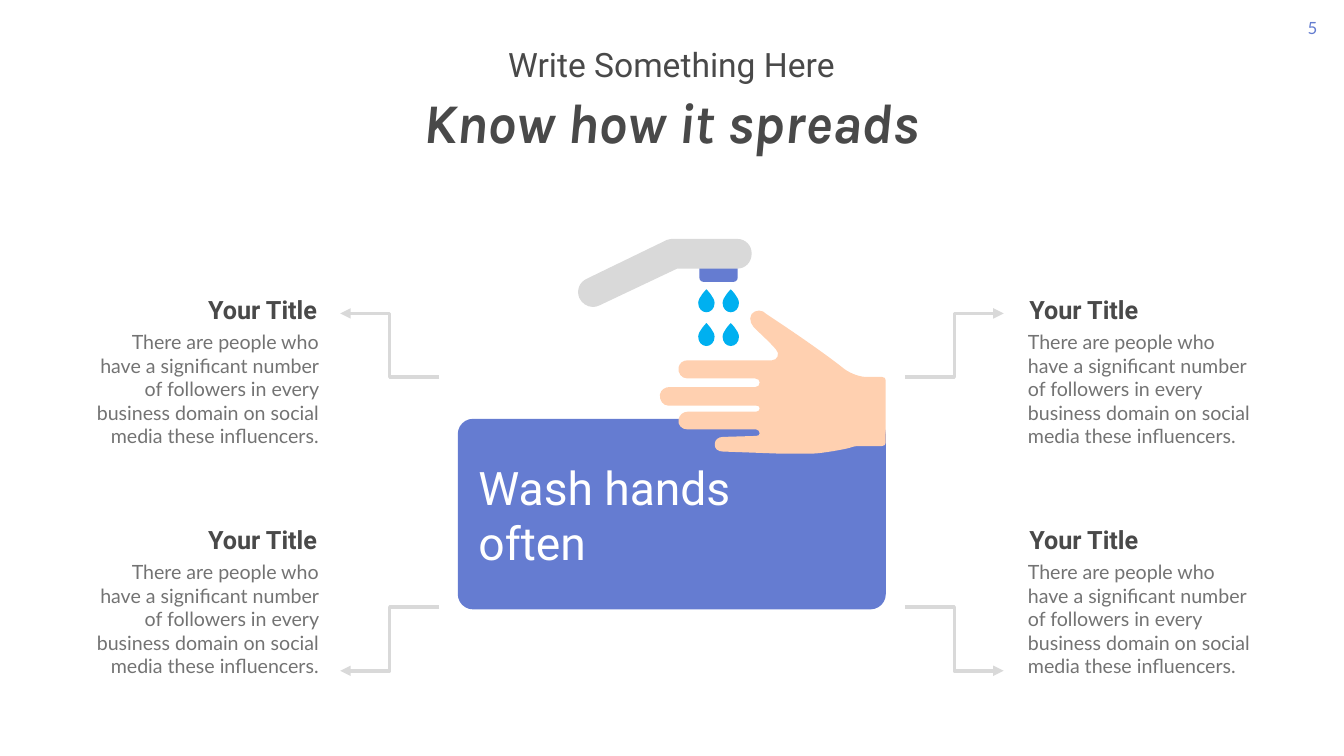
import pptx
import pptx.dml.color
import pptx.enum.shapes
import pptx.enum.text
import pptx.oxml
import pptx.oxml.ns
import pptx.util

Pt = pptx.util.Pt
Align = pptx.enum.text.PP_ALIGN
Anchor = pptx.enum.text.MSO_ANCHOR
Shape = pptx.enum.shapes.MSO_SHAPE
namespace = pptx.oxml.ns.nsdecls("a")

theme = {
    "blue": "657CD1",
    "skin": "FFD0B0",
    "water": "00B0F0",
    "grey": "D9D9D9",
    "number": ("637CD0", {"name": "Lato", "size": Pt(24)}),
    "kicker": ("494949", {"name": "Roboto", "size": Pt(48)}),
    "title": ("494949", {"name": "Karla", "size": Pt(80), "bold": True, "italic": True}),
    "slogan": ("FFFFFF", {"name": "Roboto", "size": Pt(66)}),
    "heading": ("494949", {"name": "Roboto", "size": Pt(36), "bold": True}),
    "body": ("737373", {"name": "Lato", "size": Pt(28)}),
}


def write(box, text, style, align, frame_format, spacing=None):
    for name, value in frame_format.items():
        setattr(box.text_frame, name, value)
    para = box.text_frame.paragraphs[0]
    para.alignment = align
    para.line_spacing = spacing
    span = para.add_run()
    span.text = text
    colour, font_format = theme[style]
    for name, value in font_format.items():
        setattr(span.font, name, value)
    span.font.color.rgb = pptx.dml.color.RGBColor.from_string(colour)


def outline(page, start, steps, left=0, top=0):
    points = [step[n:n + 2] for step in steps for n in range(0, len(step), 2)]
    builder = page.shapes.build_freeform(Pt(left + start[0]), Pt(top + start[1]))
    builder.add_line_segments([(Pt(left + x), Pt(top + y)) for x, y in points], close=True)
    shape = builder.convert_to_shape()
    lines = iter(shape._element.findall(".//" + pptx.oxml.ns.qn("a:lnTo")))
    for step in steps:
        line = next(lines)
        if len(step) == 6:
            curve = pptx.oxml.parse_xml(f"<a:cubicBezTo {namespace}/>")
            line.addprevious(curve)
            for part in (line, next(lines), next(lines)):
                curve.append(part[0])
                part.getparent().remove(part)
    return shape


deck = pptx.Presentation()
deck.slide_width, deck.slide_height = Pt(1919.52), Pt(1080)
page = deck.slides.add_slide(deck.slide_layouts[5])

plain = {"word_wrap": True, "auto_size": pptx.enum.text.MSO_AUTO_SIZE.NONE}
flush = plain | {"vertical_anchor": Anchor.MIDDLE, "margin_left": 0, "margin_right": 0,
                 "margin_top": 0, "margin_bottom": 0}

number = page.shapes.add_textbox(Pt(1840), Pt(18), Pt(69), Pt(44))
write(number, "5", "number", Align.CENTER, {"word_wrap": False, "margin_top": Pt(7.2)})

kicker = page.shapes.add_textbox(Pt(518.4), Pt(9.4), Pt(881.3), Pt(167.8))
write(kicker, "Write Something Here", "kicker", Align.CENTER, flush, 0.99)

title = page.shapes.title
for name, value in {"left": 518.4, "top": 93.6, "width": 881.3, "height": 166.3}.items():
    setattr(title, name, Pt(value))
write(title, "Know how it spreads", "title", Align.CENTER, flush, 0.99)

panel = page.shapes.add_shape(Shape.ROUNDED_RECTANGLE, Pt(653.8), Pt(598.3), Pt(611.3), Pt(272.2))
panel.adjustments[0] = 0.08

hand = outline(page, (1260, 538.6), [
    (1238.4, 538.6),
    (1228.3, 538.6, 1216.1, 534.2, 1206.7, 527.8),
    (1167.1, 496.1, 1094.4, 448.6, 1094.4, 448.6),
    (1089.4, 442.1, 1078.6, 442.1, 1073.5, 448.6),
    (1068.5, 456.5, 1073.5, 465.8, 1081.4, 472.3),
    (1081.4, 472.3, 1100.2, 489.6, 1108.1, 499),
    (1114.6, 505.4, 1110.2, 514.8, 1102.3, 514.8),
    (982.1, 514.8),
    (975.6, 514.8, 970.6, 518.4, 969.1, 524.9),
    (967.7, 532.8, 973.4, 540.7, 981.4, 540.7),
    (1078.6, 540.7),
    (1082.9, 540.7, 1085, 543.6, 1085, 546.5),
    (1085, 550.1, 1082.9, 553, 1078.6, 553),
    (956.2, 553),
    (949.7, 553, 943.9, 556.6, 942.5, 563.8),
    (941.8, 571.7, 946.8, 579.6, 954.7, 579.6),
    (1080, 579.6),
    (1082.9, 579.6, 1085, 580.3, 1085, 583.2),
    (1085, 586.1, 1082.9, 588.2, 1080, 588.2),
    (982.1, 588.2),
    (975.6, 588.2, 970.6, 592.6, 969.1, 599),
    (967.7, 607, 973.4, 613.4, 981.4, 613.4),
    (1080, 613.4),
    (1082.9, 613.4, 1085, 616.3, 1085, 619.2),
    (1085, 621.4, 1082.9, 622.8, 1080, 622.8),
    (1032.5, 624.2),
    (1026, 624.2, 1021, 628.6, 1021, 633.6),
    (1019.5, 641.5, 1026, 645.1, 1032.5, 645.1),
    (1111.7, 648),
    (1160.6, 648),
    (1168.6, 648, 1193.8, 644.4, 1212.5, 640.1),
    (1216.1, 638.6, 1221.1, 637.2, 1226.9, 637.2),
    (1260, 637.2),
    (1263.6, 637.2, 1265, 635, 1265, 632.2),
    (1265, 543.6),
    (1265, 540.7, 1263.6, 538.6, 1260, 538.6),
])

drop_steps = [
    (23.4, 27.4, 18, 32.8, 11.7, 32.8),
    (5.4, 32.8, 0, 27.4, 0, 19.4),
    (0, 11.5, 11.7, 0, 11.7, 0),
    (11.7, 0, 23.4, 11.5, 23.4, 19.4),
]
drops = [outline(page, (23.4, 19.4), drop_steps, left, top)
         for left in (997.2, 1032) for top in (413.3, 461.5)]

nozzle = page.shapes.add_shape(Shape.ROUNDED_RECTANGLE, Pt(999), Pt(358.6), Pt(54.4), Pt(43.9))
nozzle.adjustments[0] = 0.12

faucet = outline(page, (846.7, 438.5), [
    (838.8, 438.5, 830.9, 433.4, 827.3, 425.5),
    (823, 414.7, 827.3, 403.2, 838.1, 398.2),
    (952.6, 342.7),
    (956.9, 341.3, 959, 341.3, 961.9, 341.3),
    (1052.6, 341.3),
    (1064.9, 341.3, 1073.5, 350.6, 1073.5, 362.2),
    (1073.5, 374.4, 1064.9, 383.8, 1052.6, 383.8),
    (967, 383.8),
    (856.1, 436.3),
    (853.2, 437.8, 849.6, 438.5, 846.7, 438.5),
])

paints = [(panel, "blue"), (hand, "skin"), (nozzle, "blue"), (faucet, "grey")]
for shape, colour in paints + [(drop, "water") for drop in drops]:
    shape.shadow.inherit = False
    shape.fill.solid()
    shape.fill.fore_color.rgb = pptx.dml.color.RGBColor.from_string(theme[colour])
    shape.line.fill.background()

slogan = page.shapes.add_textbox(Pt(683.3), Pt(641.5), Pt(390.2), Pt(193))
write(slogan, "Wash hands often", "slogan", Align.LEFT, flush, 0.99)

message = ("There are people who have a significant number of followers in every "
           "business domain on social media these influencers.")
sides = [(1463, 1461, Align.LEFT, 1292.4, 1433.5), (116.6, 116.6, Align.RIGHT, 627.1, 486)]
rows = [(416.9, 538.6, 447.8), (745.2, 866.9, 958.3)]
for heading_left, body_left, align, inner, outer in sides:
    for top, start, end in rows:
        arrow = page.shapes.add_connector(pptx.enum.shapes.MSO_CONNECTOR.ELBOW,
                                          Pt(inner), Pt(start), Pt(outer), Pt(end))
        arrow.line.width = Pt(5)
        arrow.line.color.rgb = pptx.dml.color.RGBColor.from_string(theme["grey"])
        arrow.line._get_or_add_ln().append(pptx.oxml.parse_xml(f'<a:tailEnd {namespace} type="triangle"/>'))
        arrow._element.spPr.append(pptx.oxml.parse_xml(f"<a:effectLst {namespace}/>"))
        heading = page.shapes.add_textbox(Pt(heading_left), Pt(top), Pt(343.4), Pt(51.1))
        write(heading, "Your Title", "heading", align, plain)
        body = page.shapes.add_textbox(Pt(body_left), Pt(top + 51.1), Pt(345.6), Pt(177.1))
        write(body, message, "body", align, plain)

deck.save("out.pptx")
